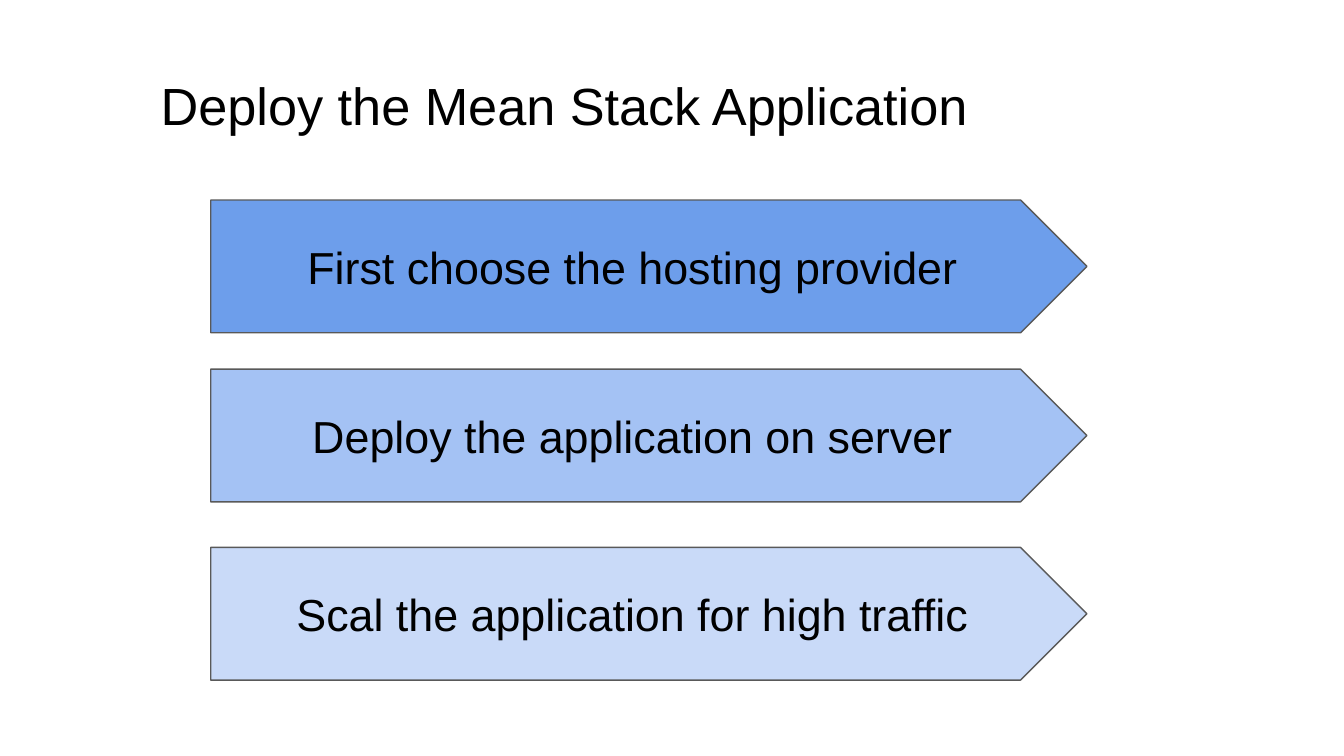
from pptx import Presentation
from pptx.dml.color import RGBColor
from pptx.enum.shapes import MSO_SHAPE
from pptx.enum.text import MSO_ANCHOR, PP_ALIGN
from pptx.util import Pt

PENTAGON = MSO_SHAPE.PENTAGON
TOP, MIDDLE = MSO_ANCHOR.TOP, MSO_ANCHOR.MIDDLE
LEFT, CENTER = PP_ALIGN.LEFT, PP_ALIGN.CENTER

TITLE = "Deploy the Mean Stack Application"
STEPS = [
    ("First choose the hosting provider", "6D9EEB", 107.2),
    ("Deploy the application on server", "A4C2F4", 197.8),
    ("Scal the application for high traffic", "C9DAF8", 293.3),
]
STEP_LEFT, STEP_WIDTH, STEP_HEIGHT = 112.9, 469.4, 71.1


def color(value):
    return RGBColor.from_string(value)


def write(sp, text, size, align, anchor, inset_x, inset_y):
    tf = sp.text_frame
    tf.word_wrap = True
    tf.vertical_anchor = anchor
    tf.margin_left = tf.margin_right = Pt(inset_x)
    tf.margin_top = tf.margin_bottom = Pt(inset_y)
    p = tf.paragraphs[0]
    p.text = text
    p.alignment = align
    p.font.name = "Arial"
    p.font.size = Pt(size)
    p.font.color.rgb = color("000000")
    return p


prs = Presentation()
prs.slide_width, prs.slide_height = Pt(720), Pt(405)
s = prs.slides.add_slide(prs.slide_layouts[6])

title = s.shapes.add_textbox(Pt(80.8), Pt(40.5), Pt(567.4), Pt(87.8))
p = write(title, TITLE, 28, LEFT, TOP, 5.3, 2.7)
p.line_spacing = 0.89

for text, fill, top in STEPS:
    sp = s.shapes.add_shape(PENTAGON, Pt(STEP_LEFT), Pt(top), Pt(STEP_WIDTH), Pt(STEP_HEIGHT))
    sp.shadow.inherit = False
    sp.fill.solid()
    sp.fill.fore_color.rgb = color(fill)
    sp.line.color.rgb = color("595959")
    sp.line.width = Pt(0.75)
    write(sp, text, 24, CENTER, MIDDLE, 7.2, 7.2)

prs.save("out.pptx")
